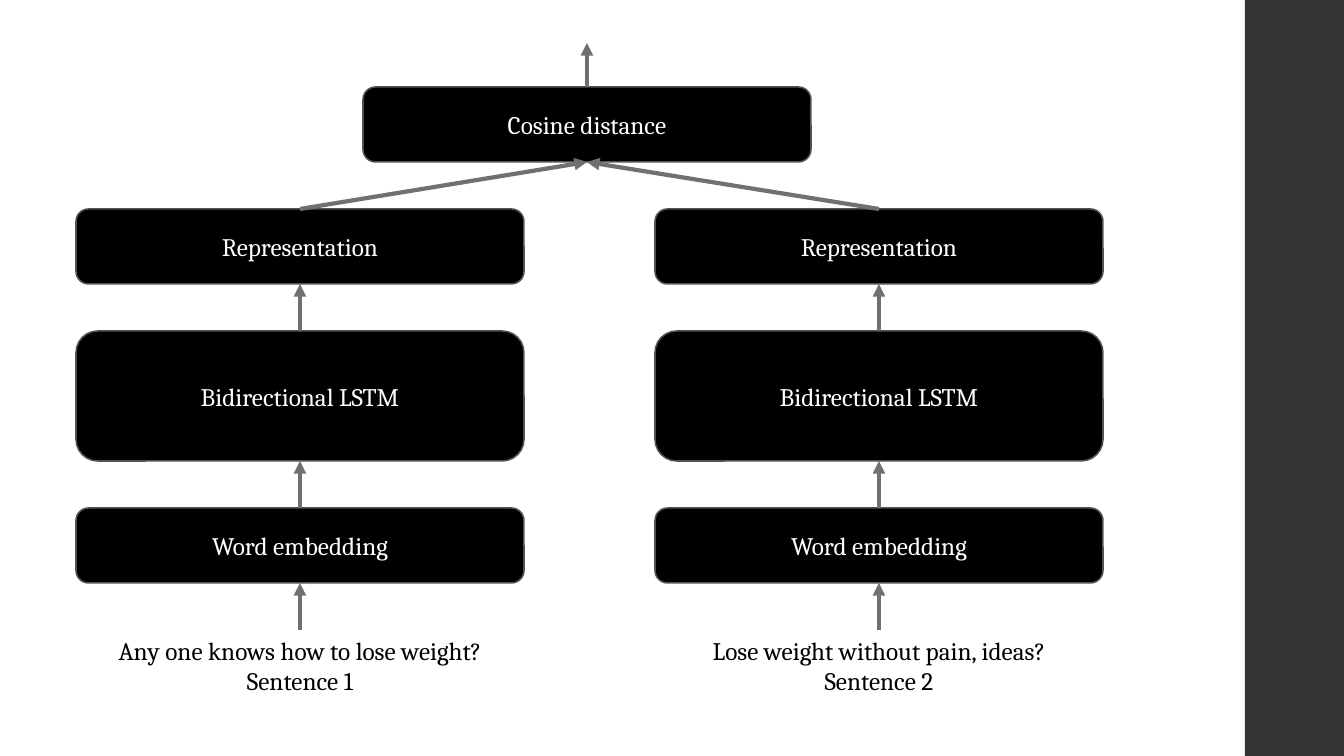
from lxml import etree
from pptx import Presentation
from pptx.dml.color import RGBColor
from pptx.enum.shapes import MSO_CONNECTOR, MSO_SHAPE
from pptx.enum.text import MSO_ANCHOR, MSO_AUTO_SIZE, PP_ALIGN
from pptx.oxml.ns import qn
from pptx.util import Pt

ROUNDED, RECTANGLE = MSO_SHAPE.ROUNDED_RECTANGLE, MSO_SHAPE.RECTANGLE
STRAIGHT = MSO_CONNECTOR.STRAIGHT
CENTER, MIDDLE = PP_ALIGN.CENTER, MSO_ANCHOR.MIDDLE
FIT_SHAPE = MSO_AUTO_SIZE.SHAPE_TO_FIT_TEXT
PX = 914400 / 100.8
rgb = RGBColor.from_string

BLOCK_W, BLOCK_H, LSTM_H, SENTENCE_H = 448, 75, 130, 72
GAP = 47
COSINE_X, COSINE_Y = 363, 87
COSINE_MID = COSINE_X + BLOCK_W // 2
OUTPUT_Y = 43


def add_label(holder, lines, color):
    frame = holder.text_frame
    frame.word_wrap = True
    for i, line in enumerate(lines):
        paragraph = frame.paragraphs[0] if i == 0 else frame.add_paragraph()
        paragraph.alignment = CENTER
        run = paragraph.add_run()
        run.text = line
        run.font.name = "Cambria"
        run.font.size = Pt(18)
        run.font.color.rgb = rgb(color)


def add_block(label, x, y, height):
    block = slide.shapes.add_shape(
        ROUNDED, *[round(v * PX) for v in (x, y, BLOCK_W, height)])
    block.shadow.inherit = False
    block.fill.solid()
    block.fill.fore_color.rgb = rgb("000000")
    block.line.color.rgb = rgb("525256")
    block.line.width = Pt(1.1)
    block.text_frame.vertical_anchor = MIDDLE
    add_label(block, [label], "FFFFFF")


prs = Presentation()
prs.slide_width, prs.slide_height = round(1344 * PX), round(756 * PX)
slide = prs.slides.add_slide(prs.slide_layouts[6])

# Dark band on the right edge
band = slide.shapes.add_shape(
    RECTANGLE, round(1245 * PX), 0, round(99 * PX), prs.slide_height)
band.shadow.inherit = False
band.fill.solid()
band.fill.fore_color.rgb = rgb("353537")
band.line.fill.background()

# Shared output block
add_block("Cosine distance", COSINE_X, COSINE_Y, BLOCK_H)
cosine_bottom = COSINE_Y + BLOCK_H
arrows = [(COSINE_MID, COSINE_Y, COSINE_MID, OUTPUT_Y)]

# Twin branches, each stacked from representation down to its sentence
layers = [("Representation", BLOCK_H), ("Bidirectional LSTM", LSTM_H),
          ("Word embedding", BLOCK_H)]
branches = [(76, ["Any one knows how to lose weight?", "Sentence 1"]),
            (655, ["Lose weight without pain, ideas?", "Sentence 2"])]
for x, sentence in branches:
    mid = x + BLOCK_W // 2
    y = cosine_bottom + GAP
    arrows.append((mid, y, COSINE_MID, cosine_bottom))
    for layer, height in layers:
        add_block(layer, x, y, height)
        y += height + GAP
        arrows.append((mid, y, mid, y - GAP))
    caption = slide.shapes.add_textbox(
        *[round(v * PX) for v in (x, y, BLOCK_W, SENTENCE_H)])
    add_label(caption, sentence, "000000")
    caption.text_frame.auto_size = FIT_SHAPE

# Upward arrows
for ends in arrows:
    arrow = slide.shapes.add_connector(STRAIGHT, *[round(v * PX) for v in ends])
    arrow.line.color.rgb = rgb("6F6F74")
    arrow.line.width = Pt(3)
    etree.SubElement(arrow.line._get_or_add_ln(), qn("a:tailEnd"), type="triangle")
    etree.SubElement(arrow._element.spPr, qn("a:effectLst"))

prs.save("out.pptx")
